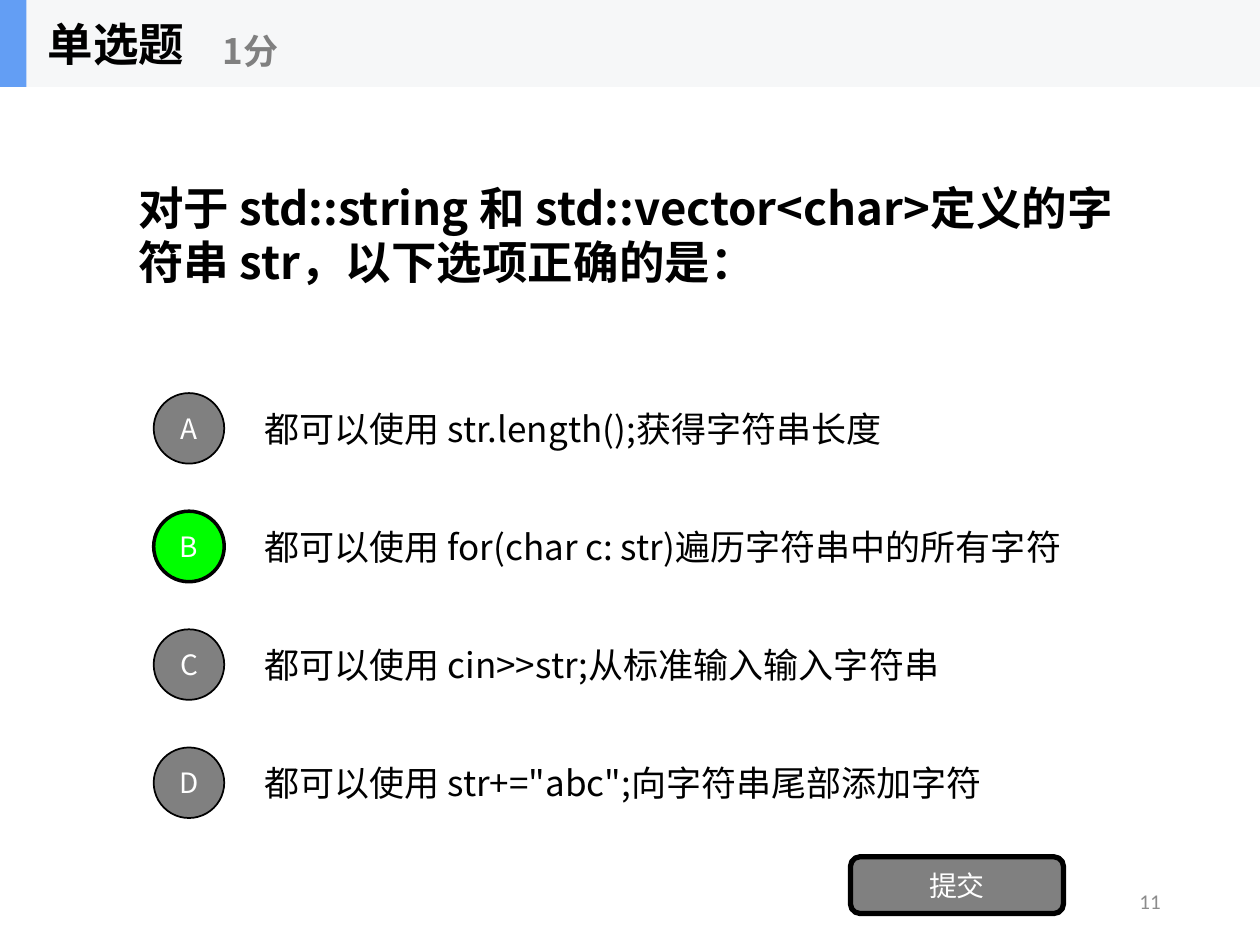
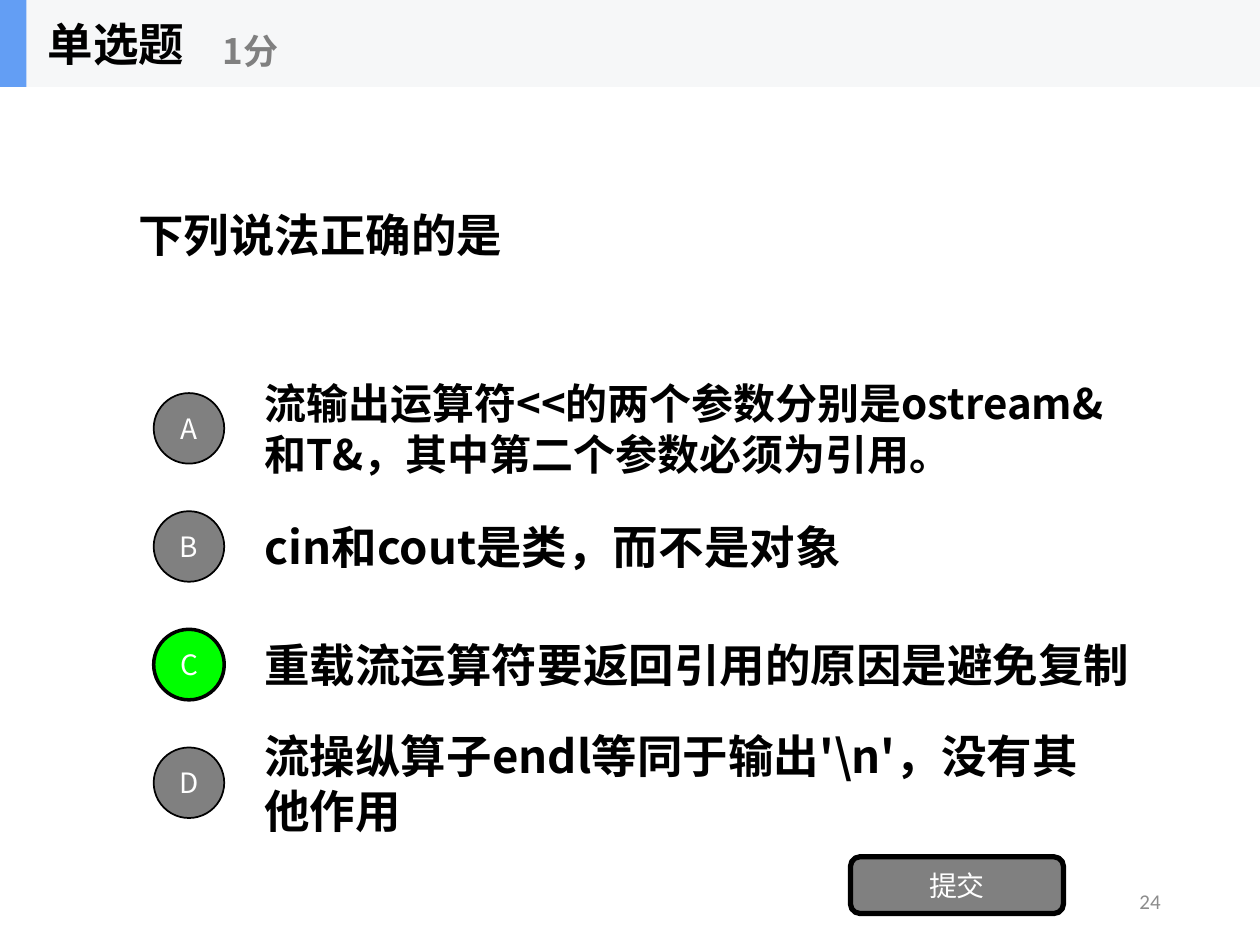
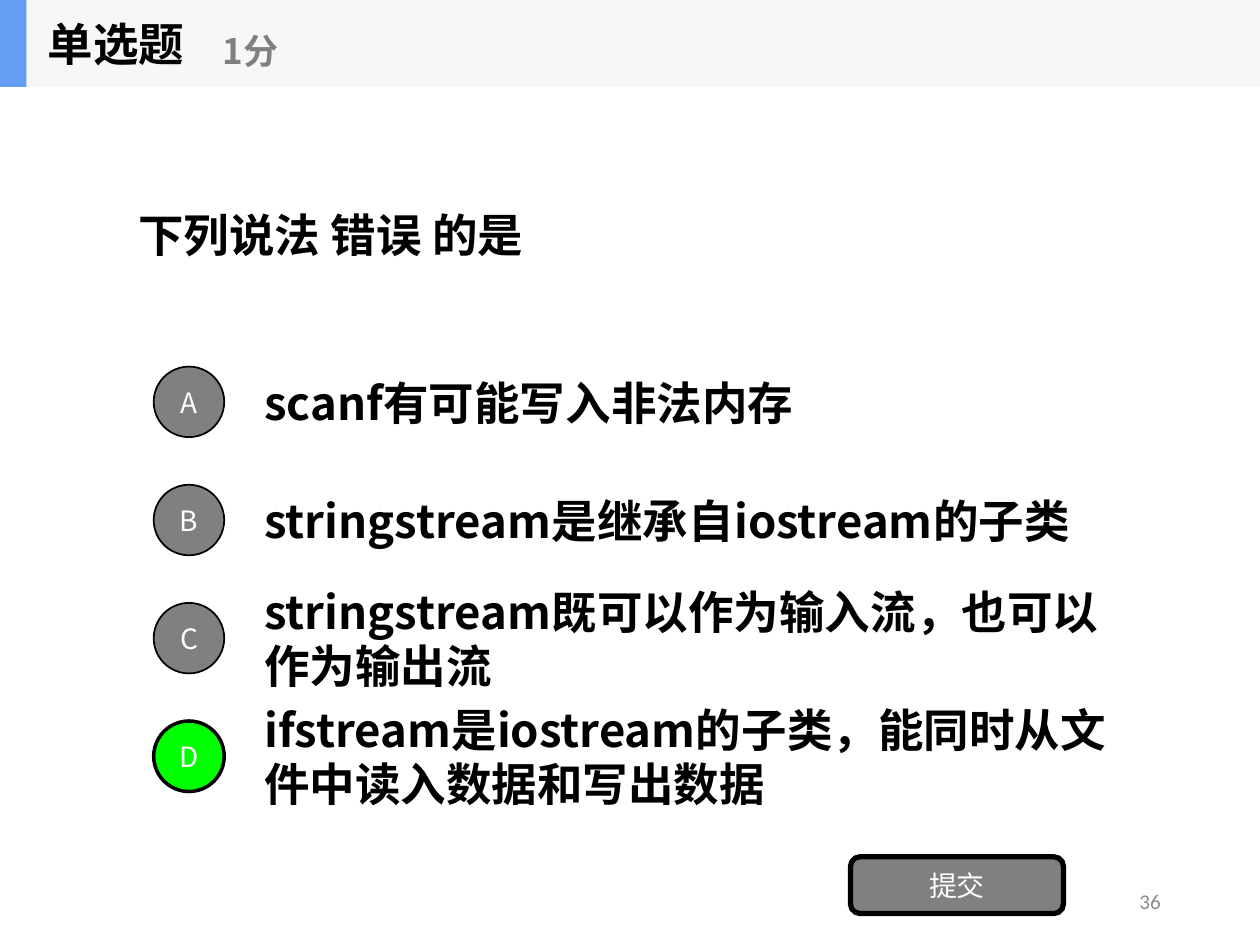
"""Build three single-choice quiz slides."""
import pptx
import pptx.util
import pptx.dml.color
import pptx.enum.shapes
import pptx.enum.text
import pptx.oxml
import pptx.oxml.ns

RGBColor = pptx.dml.color.RGBColor
SHAPE = pptx.enum.shapes.MSO_SHAPE
ALIGN = pptx.enum.text.PP_ALIGN

BLACK = RGBColor(0x00, 0x00, 0x00)
WHITE = RGBColor(0xFF, 0xFF, 0xFF)
GRAY = RGBColor(0x80, 0x80, 0x80)
NUMBER_GRAY = RGBColor(0x8C, 0x8C, 0x8C)
BAND = RGBColor(0xF6, 0xF7, 0xF8)
ACCENT = RGBColor(0x63, 0x9E, 0xF4)
CORRECT = RGBColor(0x00, 0xFF, 0x00)

CJK = "Noto Sans CJK SC"
WIDTH, HEIGHT = 10, 7.5
HEADER = (0, 0, WIDTH, 0.69)
QUESTION = (1, 0.69, 8, 2.34)
SUBMIT = (6.75, 6.8, 1.69, 0.45)
NUMBER = (7.06, 6.95, 2.25, 0.4)
OPTION_LEFT, OPTION_WIDTH, OPTION_HEIGHT = 2, 7, 0.7
OPTION_PITCH = HEIGHT / 8
MARKER_LEFT, MARKER_SIZE = 1.22, 0.56

HEADING = {"size": 26, "bold": True, "color": BLACK}
SMALL_HEADING = {**HEADING, "size": 24}
POINTS = {"size": 20, "bold": True, "color": GRAY}
PLAIN = {"size": 20, "color": BLACK}
BUTTON = {"size": 16, "color": WHITE}
PAGE = {"size": 12, "color": NUMBER_GRAY, "name": "Calibri"}

QUIZZES = [
    {"number": "11", "top": 3.05, "answer": 1,
     "question": "对于 std::string 和 std::vector<char>定义的字符串 str,以下选项正确的是:"
     .replace(",", "\uff0c").replace("是:", "是\uff1a"),
     "options": [
         ("都可以使用 str.length();获得字符串长度", PLAIN, OPTION_WIDTH),
         ("都可以使用 for(char c: str)遍历字符串中的所有字符", PLAIN, OPTION_WIDTH),
         ("都可以使用 cin>>str;从标准输入输入字符串", PLAIN, OPTION_WIDTH),
         ("都可以使用 str+=\"abc\";向字符串尾部添加字符", PLAIN, OPTION_WIDTH)]},
    {"number": "24", "top": 3.05, "answer": 2,
     "question": "下列说法正确的是",
     "options": [
         ("流输出运算符<<的两个参数分别是ostream&和T&,其中第二个参数必须为引用。"
          .replace(",", "\uff0c"), SMALL_HEADING, 7.17),
         ("cin和cout是类\uff0c而不是对象", HEADING, OPTION_WIDTH),
         ("重载流运算符要返回引用的原因是避免复制", HEADING, 7.31),
         ("流操纵算子endl等同于输出'\\n'\uff0c没有其他作用", HEADING, OPTION_WIDTH)]},
    {"number": "36", "top": 2.84, "answer": 3,
     "question": "下列说法 错误 的是",
     "options": [
         ("scanf有可能写入非法内存", HEADING, OPTION_WIDTH),
         ("stringstream是继承自iostream的子类", HEADING, OPTION_WIDTH),
         ("stringstream既可以作为输入流\uff0c也可以作为输出流", HEADING, OPTION_WIDTH),
         ("ifstream是iostream的子类\uff0c能同时从文件中读入数据和写出数据",
          HEADING, OPTION_WIDTH)]},
]


def inches(box):
    """Convert a box of numbers to lengths."""
    return [pptx.util.Inches(v) for v in box]


def write(sp, text, style, align=ALIGN.LEFT):
    """Put one styled, vertically centred paragraph in a shape."""
    tf = sp.text_frame
    tf.word_wrap = True
    tf.vertical_anchor = pptx.enum.text.MSO_ANCHOR.MIDDLE
    p = tf.paragraphs[0]
    p.alignment = align
    r = p.add_run()
    r.text = text
    values = {"name": CJK, "bold": False, **style}
    values["size"] = pptx.util.Pt(values["size"])
    r.font.color.rgb = values.pop("color")
    for key, value in values.items():
        setattr(r.font, key, value)
    ea = pptx.oxml.parse_xml(
        f'<a:ea {pptx.oxml.ns.nsdecls("a")} typeface="{values["name"]}"/>')
    r.font._element.find(pptx.oxml.ns.qn("a:latin")).addnext(ea)


def add_text(shapes, box, text, style, align=ALIGN.LEFT):
    """Add a text box."""
    write(shapes.add_textbox(*inches(box)), text, style, align)


def add_block(shapes, kind, box, fill, line=0):
    """Add a filled shape with an optional black outline."""
    sp = shapes.add_shape(kind, *inches(box))
    sp.shadow.inherit = False
    sp.fill.solid()
    sp.fill.fore_color.rgb = fill
    if line:
        sp.line.color.rgb = BLACK
        sp.line.width = pptx.util.Pt(line)
    else:
        sp.line.fill.background()
    return sp


def add_button(shapes, kind, box, text, fill, line):
    """Add a shape with a centred white label."""
    sp = add_block(shapes, kind, box, fill, line)
    for side in ("left", "right", "top", "bottom"):
        setattr(sp.text_frame, f"margin_{side}", 0)
    write(sp, text, BUTTON, ALIGN.CENTER)


def add_header(s, box):
    """Add the grouped title band with the question type and points."""
    x, y, w, h = box
    shapes = s.shapes.add_group_shape().shapes
    add_block(shapes, SHAPE.RECTANGLE, box, BAND)
    add_block(shapes, SHAPE.RECTANGLE, (x, y, 0.21, h), ACCENT)
    add_text(shapes, (x + 0.28, y, 2.08, h), "单选题", HEADING)
    add_text(shapes, (x + 1.67, y + 0.12, 2.5, 0.56), "1分", POINTS)


def add_options(s, top, options, answer):
    """Add the option texts and their lettered markers on an even pitch."""
    tops = [top + i * OPTION_PITCH for i in range(len(options))]
    for y, (text, style, width) in zip(tops, options):
        add_text(s.shapes, (OPTION_LEFT, y, width, OPTION_HEIGHT), text, style)
    inset = (OPTION_HEIGHT - MARKER_SIZE) / 2
    for i, (letter, y) in enumerate(zip("ABCD", tops)):
        fill, line = (CORRECT, 2) if i == answer else (GRAY, 1)
        add_button(s.shapes, SHAPE.OVAL,
                   (MARKER_LEFT, y + inset, MARKER_SIZE, MARKER_SIZE),
                   letter, fill, line)


def add_quiz(prs, quiz):
    """Add one quiz slide."""
    s = prs.slides.add_slide(prs.slide_layouts[6])
    add_text(s.shapes, NUMBER, quiz["number"], PAGE, ALIGN.RIGHT)
    add_text(s.shapes, QUESTION, quiz["question"], HEADING)
    add_options(s, quiz["top"], quiz["options"], quiz["answer"])
    add_button(s.shapes, SHAPE.ROUNDED_RECTANGLE, SUBMIT, "提交", GRAY, 3)
    add_header(s, HEADER)


def main():
    """Build and save the presentation."""
    prs = pptx.Presentation()
    prs.slide_width, prs.slide_height = inches((WIDTH, HEIGHT))
    for quiz in QUIZZES:
        add_quiz(prs, quiz)
    prs.save("out.pptx")


main()
